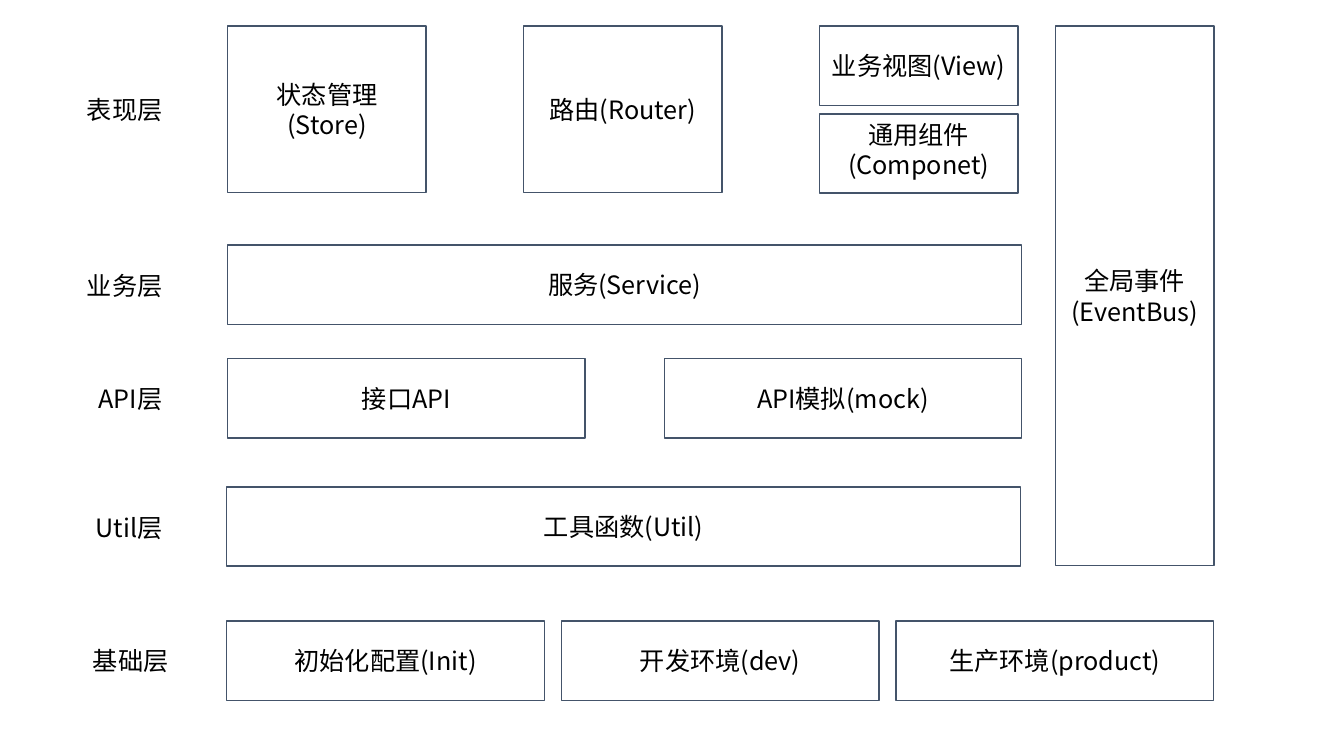
from lxml.etree import SubElement
from pptx import Presentation
from pptx.dml.color import RGBColor
from pptx.enum.shapes import MSO_SHAPE
from pptx.enum.text import MSO_ANCHOR, PP_ALIGN
from pptx.oxml.ns import qn
from pptx.util import Pt

FACE = "Noto Sans CJK SC"
FONT = {"name": FACE, "size": Pt(18)}
LEFT, TOP = 162.72, 18.72
LOW = 56.7  # height of a plain box
TALL = 118.8  # height of the top layer
SLIM = 141.7  # width of a top layer box
STEP = 211.32  # column pitch of the top layer

# Layer names: left, top, text
LAYERS = [
    (34.56, 64.08, "表现层"),
    (34.56, 189.36, "业务层"),
    (34.56, 270, "API层"),
    (34.56, 362.16, "Util层"),
    (38.88, 457.2, "基础层"),
]

# Rows of equal boxes: left, top, width, height, pitch, texts
ROWS = [
    (LEFT, TOP, SLIM, TALL, STEP, ["状态管理(Store)", "路由(Router)"]),
    (LEFT, 174.96, 566.9, LOW, 0, ["服务(Service)"]),
    (LEFT, 256.32, 255.1, LOW, 311.76, ["接口API", "API模拟(mock)"]),
    (162, 347.76, 566.9, LOW, 0, ["工具函数(Util)"]),
    (162, 443.52, 226.8, LOW, 239.04,
     ["初始化配置(Init)", "开发环境(dev)", "生产环境(product)"]),
]


def paint(color, code):
    color.rgb = RGBColor.from_string(code)


def put(target, values):
    for name, value in values.items():
        setattr(target, name, value)


def write(shape, text, align, anchor):
    frame = shape.text_frame
    put(frame, {"word_wrap": True, "vertical_anchor": anchor})
    para = frame.paragraphs[0]
    para.alignment = align
    run = para.add_run()
    run.text = text
    put(run.font, FONT)
    paint(run.font.color, "000000")
    # East Asian typeface
    SubElement(run._r.get_or_add_rPr(), qn("a:ea"), typeface=FACE)


def label(slide, left, top, text):
    area = slide.shapes.add_textbox(Pt(left), Pt(top), Pt(88.56), Pt(28.8))
    write(area, text, PP_ALIGN.RIGHT, MSO_ANCHOR.TOP)


def box(slide, left, top, width, height, text, anchor=MSO_ANCHOR.MIDDLE):
    shape = slide.shapes.add_shape(
        MSO_SHAPE.RECTANGLE, Pt(left), Pt(top), Pt(width), Pt(height))
    shape.shadow.inherit = False
    shape.fill.solid()
    paint(shape.fill.fore_color, "FFFFFF")
    paint(shape.line.color, "44546A")
    shape.line.width = Pt(1)
    write(shape, text, PP_ALIGN.CENTER, anchor)


def row(slide, left, top, width, height, pitch, texts):
    for i, text in enumerate(texts):
        box(slide, left + i * pitch, top, width, height, text)


def main():
    deck = Presentation()
    put(deck, {"slide_width": Pt(960), "slide_height": Pt(540)})
    slide = deck.slides.add_slide(deck.slide_layouts[6])

    # Layer names
    for item in LAYERS:
        label(slide, *item)

    # Layer rows
    for item in ROWS:
        row(slide, *item)

    # Split third column of the top layer
    third = LEFT + 2 * STEP
    box(slide, third, 81.36, SLIM, LOW, "通用组件(Componet)", MSO_ANCHOR.TOP)
    box(slide, third, TOP, SLIM, LOW, "业务视图(View)")

    # Event bus beside the layers
    box(slide, 753.84, TOP, 113.4, 385.4, "全局事件(EventBus)")

    deck.save("out.pptx")


if __name__ == "__main__":
    main()
